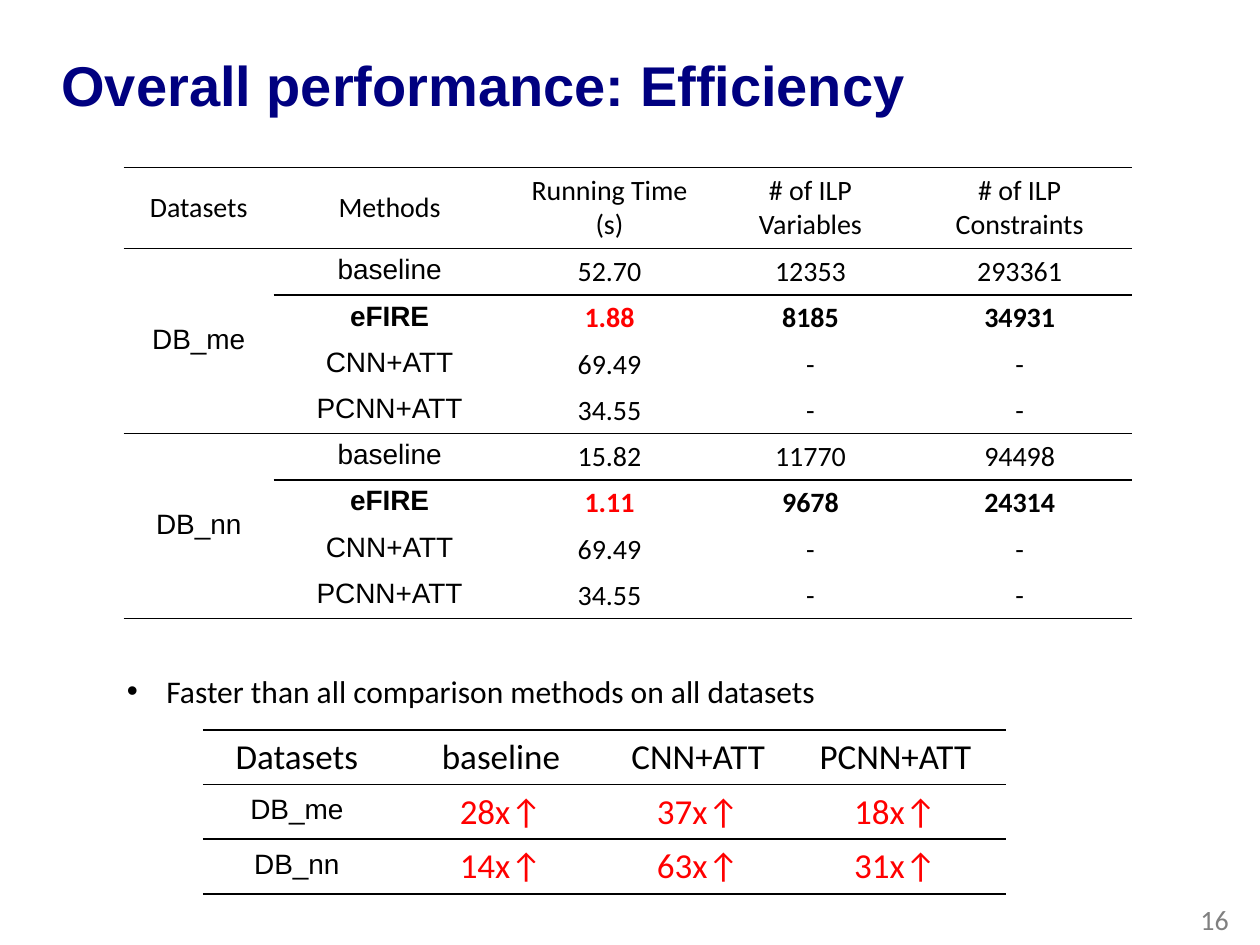
from lxml import etree
from pptx import Presentation
from pptx import util as u
from pptx.dml.color import RGBColor
from pptx.enum import text
from pptx.oxml.ns import qn

Pt = u.Pt
BLACK, RED, NAVY, GRAY = "000000", "FF0000", "000080", "808080"
CENTER = text.PP_ALIGN.CENTER
MIDDLE = text.MSO_ANCHOR.MIDDLE


def rgb(value):
    return RGBColor.from_string(value)


def add_run(paragraph, words, size, font="Calibri", color=BLACK, bold=False):
    run = paragraph.add_run()
    run.text = words
    run.font.size = Pt(size)
    run.font.name = font
    run.font.bold = bold
    run.font.color.rgb = rgb(color)


def add_text(slide, left, top, width, height, words, size, wrap=True,
             anchor=MIDDLE, **style):
    box = slide.shapes.add_textbox(Pt(left), Pt(top), Pt(width), Pt(height))
    frame = box.text_frame
    frame.word_wrap = wrap
    frame.vertical_anchor = anchor
    paragraph = frame.paragraphs[0]
    add_run(paragraph, words, size, **style)
    return paragraph


def add_bullet(paragraph, indent):
    props = paragraph._p.get_or_add_pPr()
    props.set("marL", str(Pt(indent)))
    props.set("indent", str(-Pt(indent)))
    etree.SubElement(props, qn("a:buFont"), typeface="Arial")
    etree.SubElement(props, qn("a:buChar"), char="•")


def set_borders(cell, top, bottom):
    props = cell._tc.get_or_add_tcPr()
    for side, drawn in (("L", False), ("R", False), ("T", top), ("B", bottom)):
        line = etree.SubElement(props, qn(f"a:ln{side}"), w=str(Pt(1)))
        if drawn:
            fill = etree.SubElement(line, qn("a:solidFill"))
            etree.SubElement(fill, qn("a:srgbClr"), val=BLACK)
        else:
            etree.SubElement(line, qn("a:noFill"))


def fill_cell(cell, words, size, label=False, **style):
    """Labels are set in Arial 16 on an exact 16 pt line."""
    cell.vertical_anchor = MIDDLE
    frame = cell.text_frame
    for i, line in enumerate(words.split("\n")):
        paragraph = frame.add_paragraph() if i else frame.paragraphs[0]
        paragraph.alignment = CENTER
        if label:
            paragraph.line_spacing = Pt(16)
            add_run(paragraph, line, 16, font="Arial", **style)
        else:
            add_run(paragraph, line, size, **style)


def add_ruled_table(slide, left, top, widths, heights, rules, merges=()):
    """rules maps a row boundary to the first column its line covers."""
    table = slide.shapes.add_table(len(heights), len(widths), Pt(left), Pt(top),
                                   Pt(sum(widths)), Pt(sum(heights))).table
    table.first_row = table.horz_banding = False
    for column, width in zip(table.columns, widths):
        column.width = Pt(width)
    for row, height in zip(table.rows, heights):
        row.height = Pt(height)
    for first, last in merges:
        table.cell(first, 0).merge(table.cell(last, 0))
    for r in range(len(heights)):
        for c in range(len(widths)):
            cell = table.cell(r, c)
            below = r + (cell.span_height if cell.is_merge_origin else 1)
            set_borders(cell, c >= rules.get(r, 99), c >= rules.get(below, 99))
            cell.fill.background()
    return table


def add_efficiency_table(slide):
    headers = ["Datasets", "Methods", "Running Time (s)",
               "# of ILP\nVariables", "# of ILP\nConstraints"]
    results = {
        "DB_me": [("baseline", "52.70", "12353", "293361"),
                  ("eFIRE", "1.88", "8185", "34931"),
                  ("CNN+ATT", "69.49", "-", "-"),
                  ("PCNN+ATT", "34.55", "-", "-")],
        "DB_nn": [("baseline", "15.82", "11770", "94498"),
                  ("eFIRE", "1.11", "9678", "24314"),
                  ("CNN+ATT", "69.49", "-", "-"),
                  ("PCNN+ATT", "34.55", "-", "-")],
    }
    table = add_ruled_table(
        slide, 70.7, 95.7, [85.7, 132.5, 118.8, 110.9, 128.2],
        [46.4] + [26.4] * 8, {0: 0, 1: 0, 2: 1, 5: 0, 6: 1, 9: 0},
        merges=[(1, 4), (5, 8)])
    for c, header in enumerate(headers):
        fill_cell(table.cell(0, c), header, 16)
    row = 1
    for dataset, methods in results.items():
        fill_cell(table.cell(row, 0), dataset, 16, label=True)
        for values in methods:
            ours = values[0] == "eFIRE"
            for c, value in enumerate(values, 1):
                fill_cell(table.cell(row, c), value, 16, label=c == 1, bold=ours,
                          color=RED if ours and c == 2 else BLACK)
            row += 1


def add_speedup_table(slide):
    speedups = [("Datasets", "baseline", "CNN+ATT", "PCNN+ATT"),
                ("DB_me", "28x↑", "37x↑", "18x↑"),
                ("DB_nn", "14x↑", "63x↑", "31x↑")]
    table = add_ruled_table(slide, 116, 417, [107.3, 126, 99.4, 126],
                            [31.2] * 3, dict.fromkeys(range(4), 0))
    for r, values in enumerate(speedups):
        for c, value in enumerate(values):
            fill_cell(table.cell(r, c), value, 20, label=r > 0 and c == 0,
                      color=RED if r and c else BLACK)


def main():
    deck = Presentation()
    deck.slide_width, deck.slide_height = Pt(720), Pt(540)
    slide = deck.slides.add_slide(deck.slide_layouts[6])

    # Title
    title = add_text(slide, 28, 15, 661, 71.3, "Overall performance: Efficiency",
                     32, font="Arial", color=NAVY, bold=True)
    title.line_spacing = 0.9

    # Page number
    number = add_text(slide, 547.2, 511.2, 162, 28.8, "16", 16, color=GRAY)
    number.alignment = text.PP_ALIGN.RIGHT

    # Results, takeaway and speedups
    add_efficiency_table(slide)
    takeaway = add_text(slide, 65.5, 380.2, 412.6, 29,
                        "Faster than all comparison methods on all datasets",
                        18, wrap=False, anchor=text.MSO_ANCHOR.TOP)
    add_bullet(takeaway, 22.5)
    add_speedup_table(slide)

    deck.save("out.pptx")


if __name__ == "__main__":
    main()
